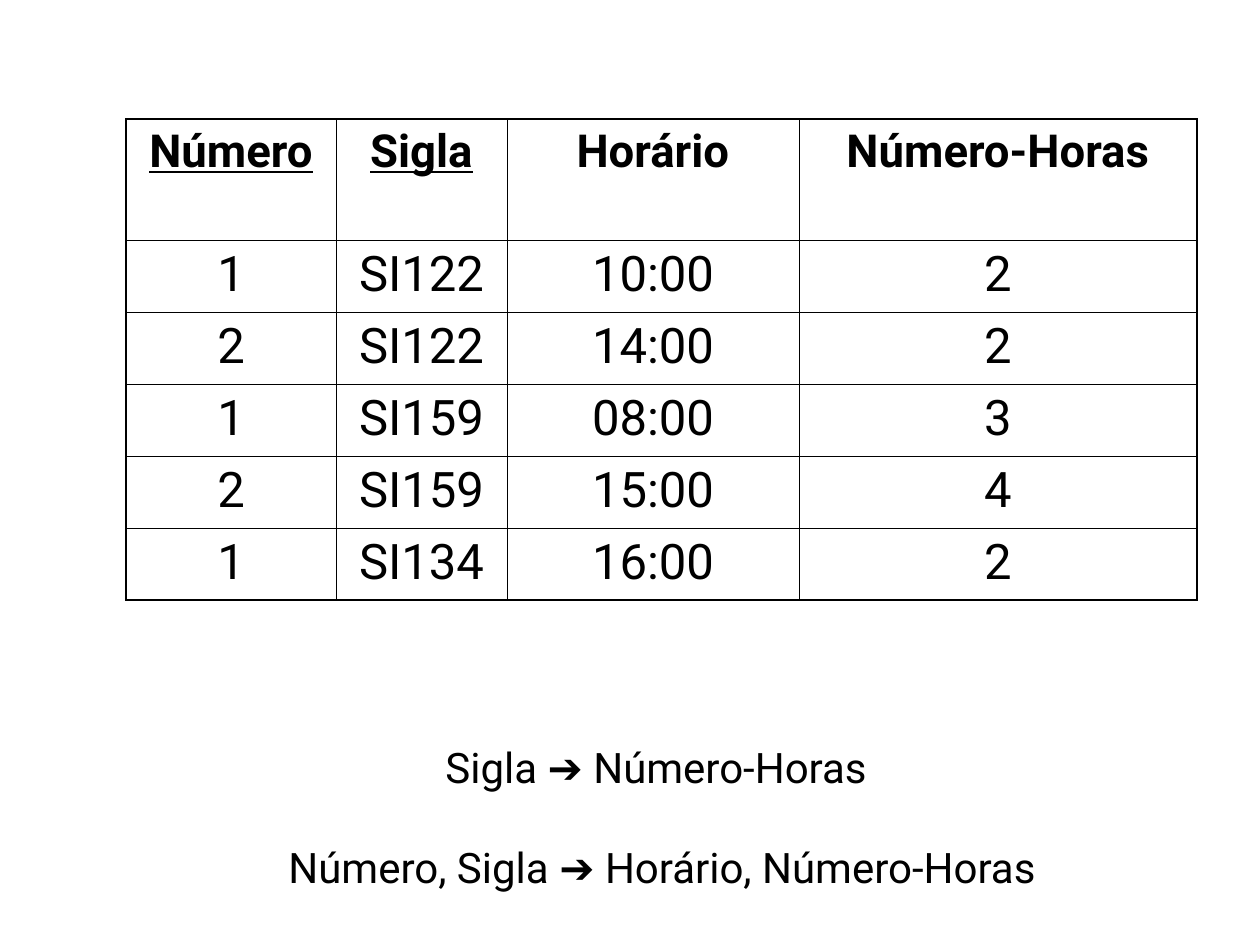
from lxml import etree
from pptx import Presentation
from pptx import util as u
from pptx.dml.color import RGBColor
from pptx.enum import text
from pptx.oxml import ns

PX = u.Inches(1) // 126
FONT = "Roboto"
BLACK, WHITE = "000000", "FFFFFF"
THIN, THICK = 0.45, 1.08

HEADINGS = ["Número", "Sigla", "Horário", "Número-Horas"]
KEY_COLUMNS = 2
CLASSES = [
    ["1", "SI122", "10:00", "2"],
    ["2", "SI122", "14:00", "2"],
    ["1", "SI159", "08:00", "3"],
    ["2", "SI159", "15:00", "4"],
    ["1", "SI134", "16:00", "2"],
]
DEPENDENCIES = [
    ("Sigla", "Número-Horas", 157),
    ("Número, Sigla", "Horário, Número-Horas", 0),
]


def color(hex_value):
    """Return the colour for a hex string."""
    return RGBColor.from_string(hex_value)


def set_font(font, size, bold=False, underline=False):
    """Format a font in the slide's typeface and text colour."""
    font.name = FONT
    font.size = u.Pt(size)
    font.bold = bold
    font.underline = underline
    font.color.rgb = color(BLACK)


def set_borders(cell, widths):
    """Draw the cell's borders from a mapping of side to width in points."""
    properties = cell._tc.get_or_add_tcPr()
    for side, width in widths.items():
        line = etree.SubElement(properties, ns.qn(f"a:ln{side}"), w=str(u.Pt(width)))
        fill = etree.SubElement(line, ns.qn("a:solidFill"))
        etree.SubElement(fill, ns.qn("a:srgbClr"), val=BLACK)


def add_schedule(slide, left, top, column_widths, header_height, row_height):
    """Add the class schedule with a thick outer frame."""
    rows = [HEADINGS] + CLASSES
    heights = [header_height] + [row_height] * len(CLASSES)
    schedule = slide.shapes.add_table(
        len(rows), len(HEADINGS), left * PX, top * PX,
        sum(column_widths) * PX, sum(heights) * PX,
    ).table
    schedule.first_row = schedule.horz_banding = False
    for column, width in zip(schedule.columns, column_widths):
        column.width = width * PX
    last_row, last_column = len(rows) - 1, len(HEADINGS) - 1
    for r, (values, height) in enumerate(zip(rows, heights)):
        schedule.rows[r].height = height * PX
        for c, value in enumerate(values):
            cell = schedule.cell(r, c)
            cell.text = value
            heading = r == 0
            label = cell.text_frame.paragraphs[0]
            label.alignment = text.PP_ALIGN.CENTER
            set_font(label.font, 26 if heading else 28, heading, heading and c < KEY_COLUMNS)
            set_borders(cell, {
                "L": THICK if c == 0 else THIN,
                "R": THICK if c == last_column else THIN,
                "T": THICK if r == 0 else THIN,
                "B": THICK if r == last_row else THIN,
            })
            cell.fill.solid()
            cell.fill.fore_color.rgb = color(WHITE)


def add_dependencies(slide, left, top, width, height):
    """Add the functional dependencies, one to a paragraph."""
    frame = slide.shapes.add_textbox(left * PX, top * PX, width * PX, height * PX).text_frame
    frame.word_wrap = True
    frame.auto_size = text.MSO_AUTO_SIZE.SHAPE_TO_FIT_TEXT
    for i, (determinant, dependent, indent) in enumerate(DEPENDENCIES):
        dependency = frame.add_paragraph() if i else frame.paragraphs[0]
        if i:
            dependency.space_before = u.Pt(28.8)
        if indent:
            dependency._p.get_or_add_pPr().set("marL", str(indent * PX))
        set_font(dependency.font, 24)
        for part in (f"{determinant} ", "➔", f" {dependent}"):
            run = dependency.add_run()
            run.text = part
            if part == "➔":
                run.font.name = "Arial"


def main():
    """Build and save the slide."""
    deck = Presentation()
    deck.slide_width, deck.slide_height = 1260 * PX, 945 * PX
    slide = deck.slides.add_slide(deck.slide_layouts.get_by_name("Blank"))
    add_dependencies(slide, 276, 735, 837, 164)
    add_schedule(slide, 126, 119, [210, 171, 292, 398], 121, 72)
    deck.save("out.pptx")


if __name__ == "__main__":
    main()
